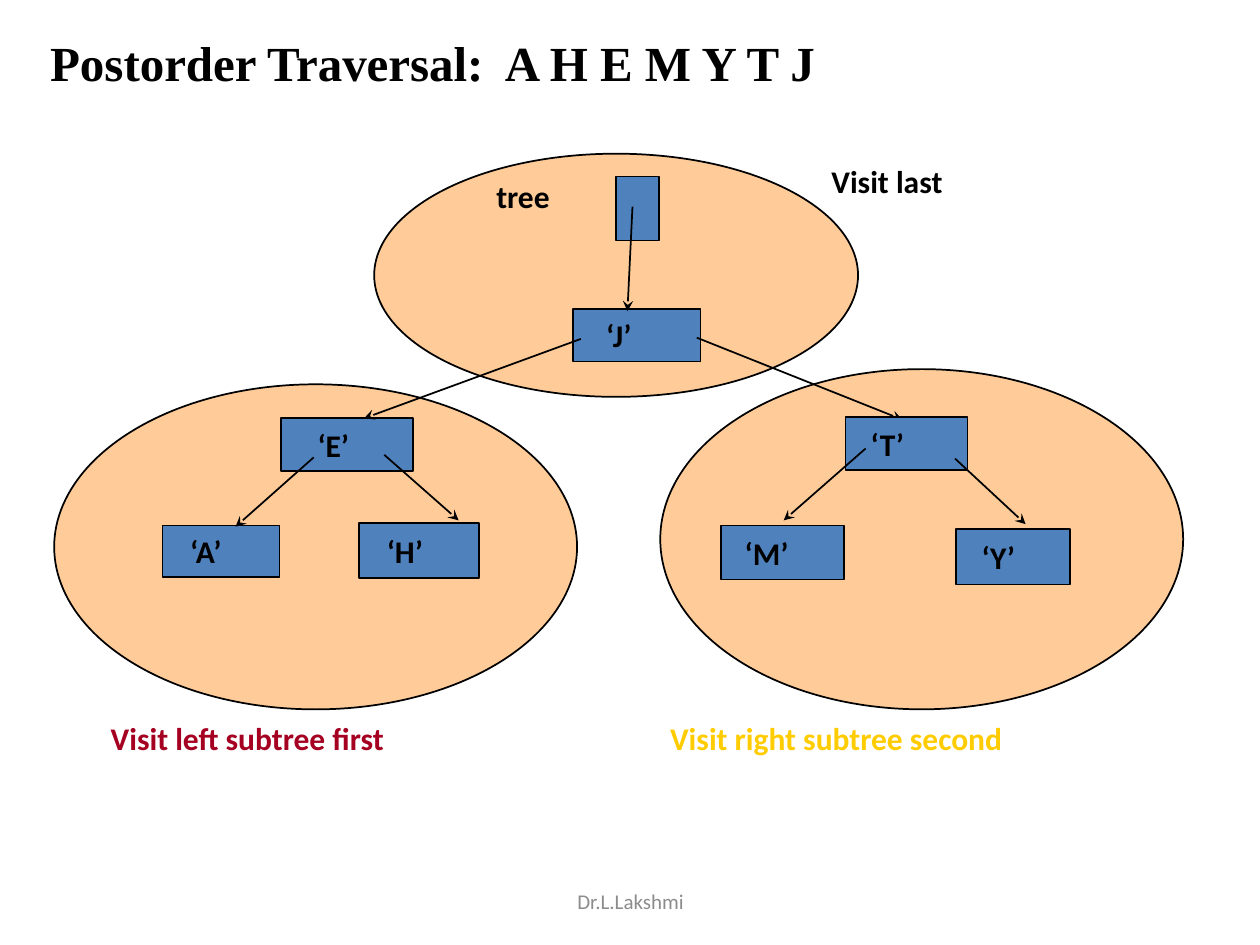
import pptx
import pptx.dml.color
import pptx.enum.shapes
import pptx.enum.text
import pptx.oxml
import pptx.oxml.ns
import pptx.util
from dataclasses import dataclass
from lxml import etree


@dataclass(frozen=True)
class Theme:
    black: str = "000000"
    region: str = "FFCC99"
    node: str = "4F81BD"
    left: str = "A50021"
    right: str = "FFCC00"
    footer: str = "8C8C8C"
    heading_font: str = "Times New Roman"
    body_font: str = "Calibri"
    heading_size: int = 28
    body_size: int = 18
    footer_size: int = 12
    line_width: int = 1


THEME = Theme()

# All places are in grid cells: 100 columns by 75 rows of square cells.
COLUMNS, ROWS = 100, 75
CELL = pptx.util.Inches(10) // COLUMNS

TITLE = ("Postorder Traversal:", "A H E M Y T J")
TITLE_BOX = (3, 2.1, 95, 6)
TITLE_TAB = 36.1

# left, top, width, height
REGIONS = [
    (52.4, 29.3, 41.5, 27),
    (29.7, 12.2, 38.4, 19.3),
    (4.3, 30.5, 41.5, 25.8),
]

# Each layer: nodes as (label, box, text inset), then arrows as (parent end, child end)
LAYERS = [
    (
        [
            ("‘E’", (22.3, 33.2, 10.5, 4.2), 2.9),
            ("‘A’", (12.9, 41.7, 9.3, 4.1), 2.2),
            ("‘H’", (28.5, 41.5, 9.5, 4.4), 2.2),
            ("‘J’", (45.5, 24.5, 10.1, 4.2), 2.6),
        ],
        [
            ((55.3, 26.8), (71.6, 33.3)),
            ((30.5, 36.1), (36.4, 41.3)),
            ((24.9, 36.3), (18.7, 41.8)),
            ((46.1, 26.9), (28.9, 33.2)),
        ],
    ),
    (
        [
            ("‘T’", (67.1, 33.1, 9.7, 4.2), 2),
            ("‘M’", (57.2, 41.7, 9.8, 4.3), 1.9),
            ("‘Y’", (75.9, 42, 9, 4.4), 2),
            ("", (48.9, 14, 3.4, 5.1), 0),
        ],
        [
            ((75.8, 36.4), (81.4, 41.6)),
            ((68.7, 35.6), (62.2, 41.3)),
            ((50.2, 16.4), (49.8, 24.7)),
        ],
    ),
]

LABELS = [
    ("tree", (38.4, 13.6, 8.2, 5), THEME.black),
    ("Visit left subtree first", (7.8, 56.6, 35.2, 5), THEME.left),
    ("Visit right subtree second", (52.2, 56.6, 42.9, 5), THEME.right),
    ("Visit last", (65, 12.4, 15.8, 5.1), THEME.black),
]

FOOTER = ("Dr.L.Lakshmi", (34.2, 69.5, 31.7, 4))


def cells(*values):
    return [pptx.util.Emu(round(value * CELL)) for value in values]


def rgb(value):
    return pptx.dml.color.RGBColor.from_string(value)


def style_line(line):
    line.color.rgb = rgb(THEME.black)
    line.width = pptx.util.Pt(THEME.line_width)


def style_font(font, name, size, color, bold=True):
    font.name, font.size, font.bold = name, pptx.util.Pt(size), bold
    font.color.rgb = rgb(color)


def add_outlined(slide, kind, box, fill):
    shape = slide.shapes.add_shape(kind, *cells(*box))
    shape.shadow.inherit = False
    shape.fill.solid()
    shape.fill.fore_color.rgb = rgb(fill)
    style_line(shape.line)
    return shape


def add_node(slide, label, box, inset):
    shape = add_outlined(slide, pptx.enum.shapes.MSO_SHAPE.RECTANGLE, box, THEME.node)
    if not label:
        return
    frame = shape.text_frame
    frame.margin_left = cells(inset)[0]
    frame.margin_right = frame.margin_top = frame.margin_bottom = 0
    frame.vertical_anchor = pptx.enum.text.MSO_ANCHOR.MIDDLE
    paragraph = frame.paragraphs[0]
    paragraph.text = label
    paragraph.alignment = pptx.enum.text.PP_ALIGN.LEFT
    style_font(paragraph.font, THEME.body_font, THEME.body_size, THEME.black)


def add_arrow(slide, start, end):
    connector = slide.shapes.add_connector(
        pptx.enum.shapes.MSO_CONNECTOR.STRAIGHT, *cells(*start, *end))
    style_line(connector.line)
    etree.SubElement(connector.line._get_or_add_ln(),
                     pptx.oxml.ns.qn("a:tailEnd"), type="stealth")
    etree.SubElement(connector._element.spPr, pptx.oxml.ns.qn("a:effectLst"))


def add_text(slide, text, box):
    """Add a wrapping text box and return its frame and only paragraph."""
    frame = slide.shapes.add_textbox(*cells(*box)).text_frame
    frame.word_wrap = True
    paragraph = frame.paragraphs[0]
    paragraph.text = text
    return frame, paragraph


def add_title(slide):
    _, paragraph = add_text(slide, "\t".join(TITLE), TITLE_BOX)
    properties = paragraph._p.get_or_add_pPr()
    tabs = etree.SubElement(properties, pptx.oxml.ns.qn("a:tabLst"))
    etree.SubElement(tabs, pptx.oxml.ns.qn("a:tab"),
                     pos=str(cells(TITLE_TAB)[0]), algn="l")
    style_font(paragraph.font, THEME.heading_font, THEME.heading_size, THEME.black)


def add_footer(slide):
    frame, paragraph = add_text(slide, *FOOTER)
    frame.vertical_anchor = pptx.enum.text.MSO_ANCHOR.MIDDLE
    paragraph.alignment = pptx.enum.text.PP_ALIGN.CENTER
    style_font(paragraph.font, THEME.body_font, THEME.footer_size, THEME.footer, False)


def main():
    presentation = pptx.Presentation()
    presentation.slide_width, presentation.slide_height = cells(COLUMNS, ROWS)
    slide = presentation.slides.add_slide(presentation.slide_layouts[6])

    add_title(slide)
    for box in REGIONS:
        add_outlined(slide, pptx.enum.shapes.MSO_SHAPE.OVAL, box, THEME.region)
    for nodes, arrows in LAYERS:
        for node in nodes:
            add_node(slide, *node)
        for arrow in arrows:
            add_arrow(slide, *arrow)
    for text, box, color in LABELS:
        _, paragraph = add_text(slide, text, box)
        style_font(paragraph.font, THEME.body_font, THEME.body_size, color)
    add_footer(slide)

    presentation.save("out.pptx")


if __name__ == "__main__":
    main()
